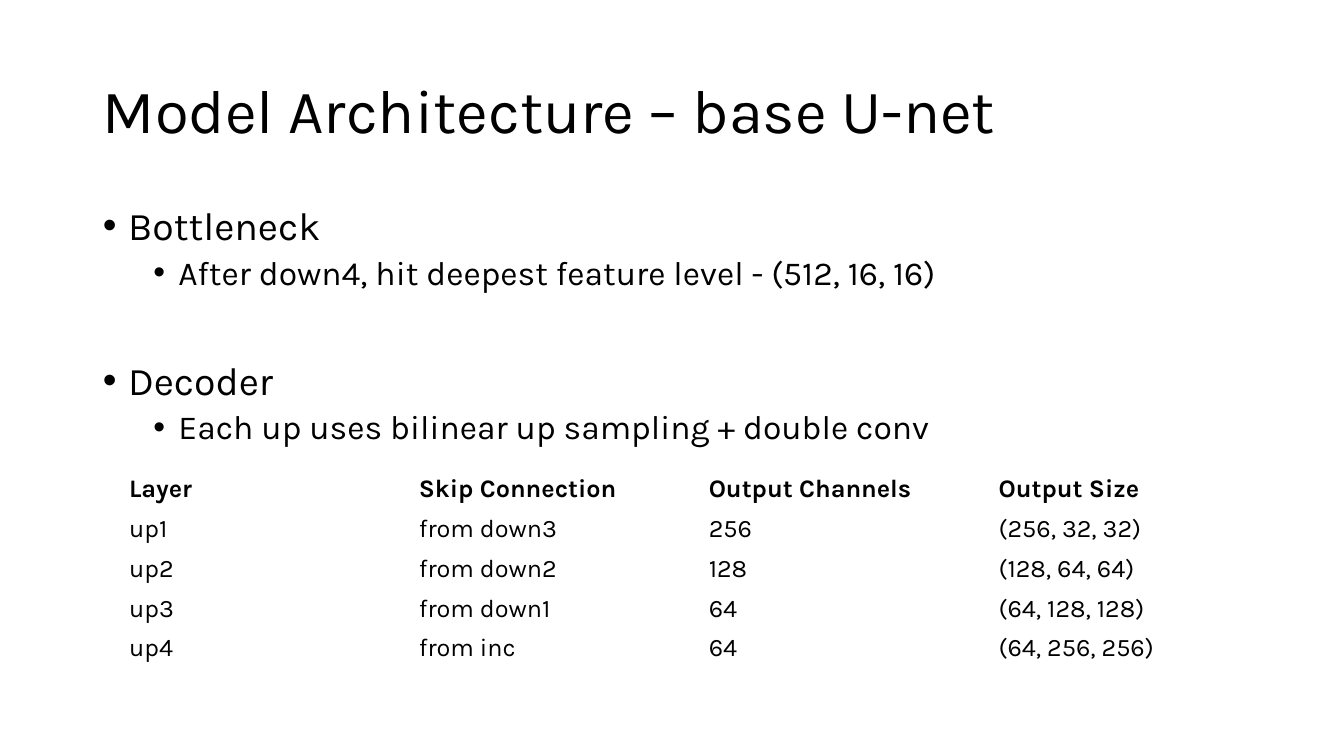
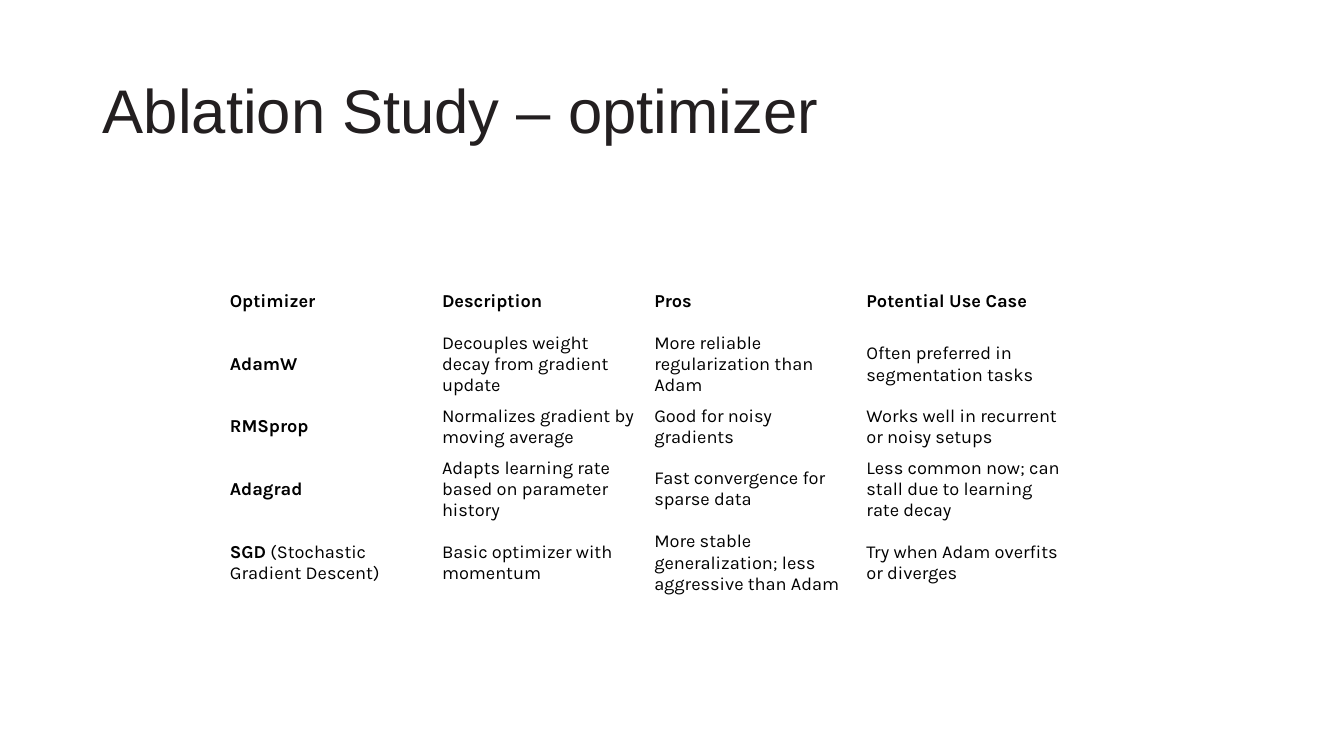
"""Build two slides on a U-net model and its optimizer study."""
from lxml.etree import SubElement
from pptx import Presentation
from pptx.dml.color import RGBColor
from pptx.enum.text import MSO_ANCHOR, MSO_AUTO_SIZE, PP_ALIGN
from pptx.oxml.ns import qn
from pptx.util import Inches, Pt

BLACK = "000000"
CHARCOAL = "231F20"
BODY_FONT = "Karla"
LEFT, WIDTH = 0.92, 11.5
TITLE_AND_CONTENT, TITLE_ONLY = 1, 5

OUTLINE = [
    (0, "Bottleneck", 0),
    (1, "After down4, hit deepest feature level - (512, 16, 16)", 5),
    (0, "Decoder", 49.5),
    (1, "Each up uses bilinear up sampling + double conv", 5),
]
DECODER_LAYERS = [
    ["Layer", "Skip Connection", "Output Channels", "Output Size"],
    ["up1", "from down3", "256", "(256, 32, 32)"],
    ["up2", "from down2", "128", "(128, 64, 64)"],
    ["up3", "from down1", "64", "(64, 128, 128)"],
    ["up4", "from inc", "64", "(64, 256, 256)"],
]
OPTIMIZERS = [
    ["Optimizer", "Description", "Pros", "Potential Use Case"],
    ["AdamW", "Decouples weight decay from gradient update",
     "More reliable regularization than Adam",
     "Often preferred in segmentation tasks"],
    ["RMSprop", "Normalizes gradient by moving average",
     "Good for noisy gradients", "Works well in recurrent or noisy setups"],
    ["Adagrad", "Adapts learning rate based on parameter history",
     "Fast convergence for sparse data",
     "Less common now; can stall due to learning rate decay"],
    [("SGD", " (Stochastic Gradient Descent)"), "Basic optimizer with momentum",
     "More stable generalization; less aggressive than Adam",
     "Try when Adam overfits or diverges"],
]


def write(paragraph, text, size, font=BODY_FONT, color=BLACK, bold=False):
    """Append a formatted run to a paragraph."""
    run = paragraph.add_run()
    run.text = text
    run.font.size = Pt(size)
    run.font.name = font
    run.font.bold = bold
    run.font.color.rgb = RGBColor.from_string(color)


def place(shape, left, top, width, height):
    """Move and size a shape, in inches."""
    shape.left, shape.top = Inches(left), Inches(top)
    shape.width, shape.height = Inches(width), Inches(height)


def add_titled_slide(deck, layout, title, **style):
    """Add a slide with the shared title position and style."""
    slide = deck.slides.add_slide(deck.slide_layouts[layout])
    heading = slide.shapes.title
    place(heading, LEFT, 0.4, WIDTH, 1.45)
    frame = heading.text_frame
    frame.auto_size = MSO_AUTO_SIZE.NONE
    frame.vertical_anchor = MSO_ANCHOR.MIDDLE
    paragraph = frame.paragraphs[0]
    paragraph.alignment = PP_ALIGN.LEFT
    paragraph.line_spacing = 0.9
    write(paragraph, title, 44, **style)
    return slide


def set_bullet(paragraph, level):
    """Give a paragraph a round bullet with a hanging indent."""
    paragraph.level = level
    properties = paragraph._p.get_or_add_pPr()
    properties.set("marL", str(Inches(0.25 + 0.5 * level)))
    properties.set("indent", str(Inches(-0.25)))
    SubElement(properties, qn("a:buFont"), typeface="Arial")
    SubElement(properties, qn("a:buChar"), char="•")


def fill_outline(body, entries):
    """Write (level, text, space before) entries into the body placeholder."""
    place(body, LEFT, 2, WIDTH, 4.76)
    frame = body.text_frame
    frame.auto_size = MSO_AUTO_SIZE.NONE
    for index, (level, text, space_before) in enumerate(entries):
        paragraph = frame.add_paragraph() if index else frame.paragraphs[0]
        set_bullet(paragraph, level)
        paragraph.line_spacing = 0.9
        paragraph.space_before = Pt(space_before)
        write(paragraph, text, 28 - 4 * level)


def fill_cell(cell, content, size, bold, insets):
    """Write a cell; a tuple holds a bold part and a plain part."""
    cell.fill.background()
    cell.vertical_anchor = MSO_ANCHOR.MIDDLE
    cell.margin_left = cell.margin_right = Inches(insets[0])
    cell.margin_top = cell.margin_bottom = Inches(insets[1])
    parts = [(content, bold)] if isinstance(content, str) else zip(content, (True, False))
    for text, part_bold in parts:
        write(cell.text_frame.paragraphs[0], text, size, bold=part_bold)


def add_plain_table(slide, rows, left, top, width, row_heights, size,
                    insets=(0.1, 0.05), bold_names=False):
    """Add an unfilled table with equal columns and a bold header."""
    columns = len(rows[0])
    table = slide.shapes.add_table(
        len(rows), columns, Inches(left), Inches(top),
        Inches(width), Inches(sum(row_heights))).table
    table.horz_banding = False
    for column in table.columns:
        column.width = Inches(width / columns)
    for r, (contents, height) in enumerate(zip(rows, row_heights)):
        table.rows[r].height = Inches(height)
        for c, content in enumerate(contents):
            bold = r == 0 or (bold_names and c == 0)
            fill_cell(table.cell(r, c), content, size, bold, insets)


def main():
    """Build and save the presentation."""
    deck = Presentation()
    deck.slide_width, deck.slide_height = Inches(13.33), Inches(7.5)

    architecture = add_titled_slide(
        deck, TITLE_AND_CONTENT, "Model Architecture – base U-net")
    fill_outline(architecture.placeholders[1], OUTLINE)
    add_plain_table(architecture, DECODER_LAYERS, 1.18, 4.66, WIDTH,
                    [0.39] * len(DECODER_LAYERS), 18)

    ablation = add_titled_slide(
        deck, TITLE_ONLY, "Ablation Study – optimizer", font="Arial", color=CHARCOAL)
    add_plain_table(ablation, OPTIMIZERS, 2.21, 2.74, 8.42,
                    [0.51, 0.73, 0.51, 0.73, 0.73], 13,
                    insets=(0.07, 0.04), bold_names=True)

    deck.save("out.pptx")


if __name__ == "__main__":
    main()
